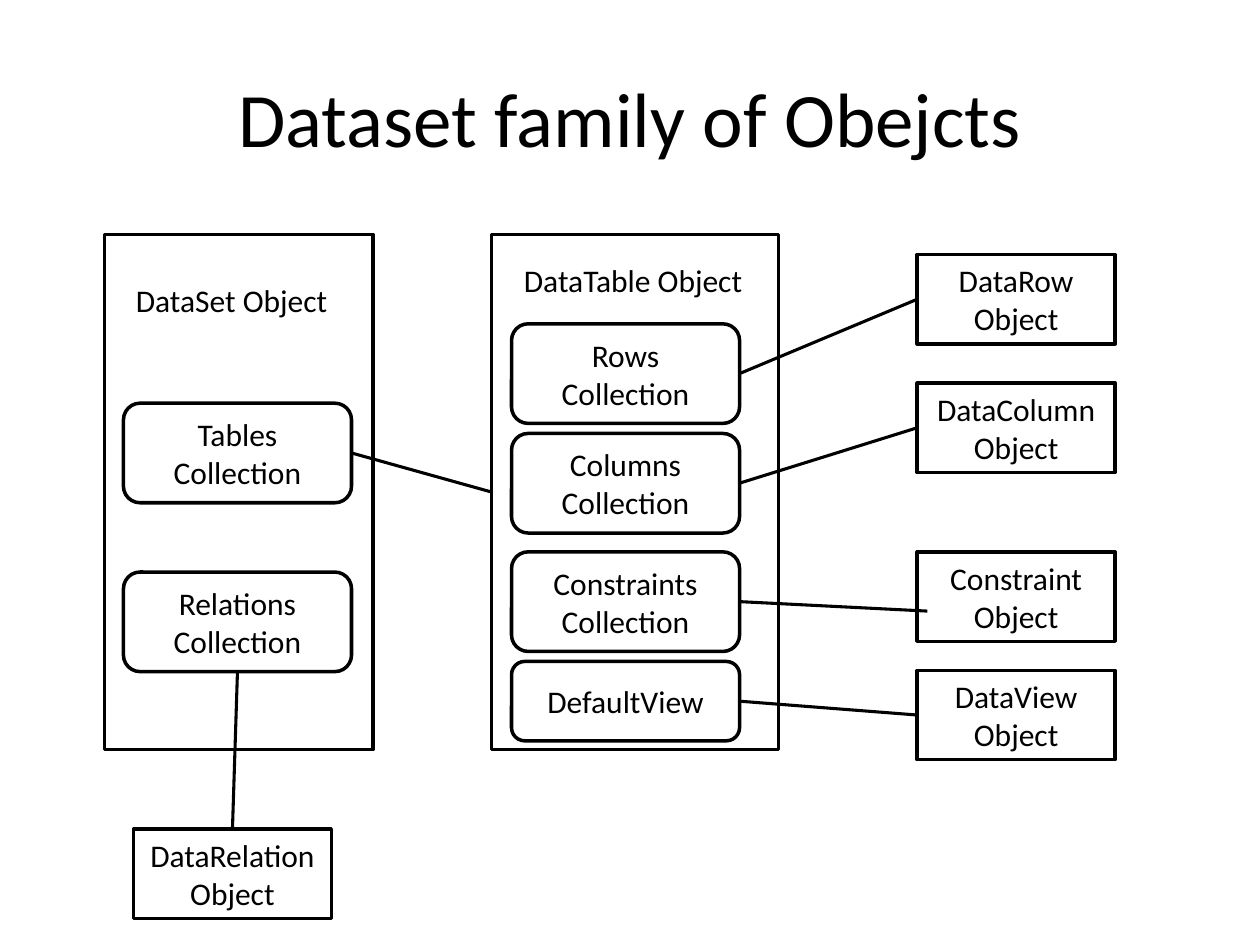
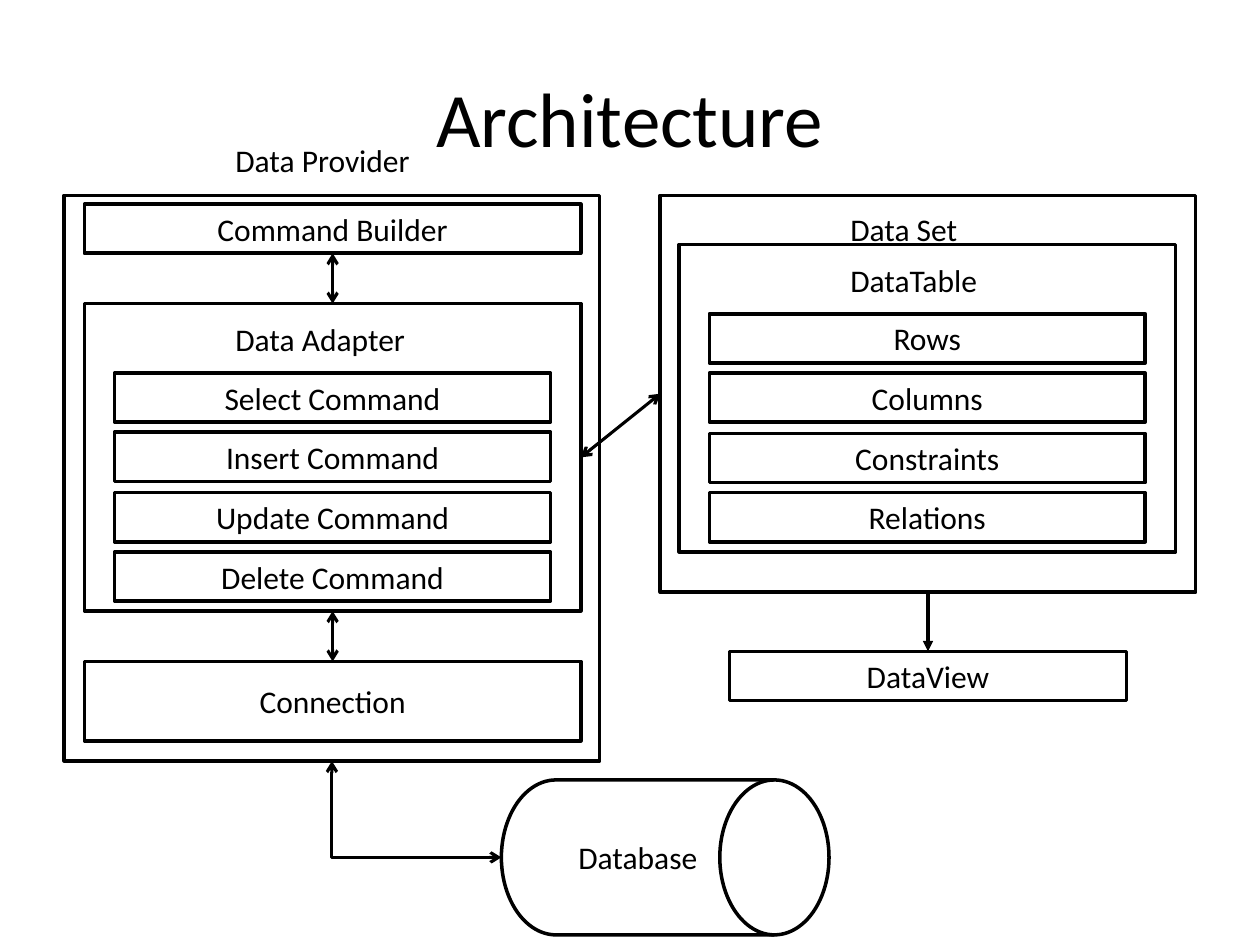
from lxml.etree import SubElement
from pptx import Presentation
from pptx.dml.color import RGBColor
from pptx.enum.shapes import MSO_CONNECTOR, MSO_SHAPE
from pptx.enum.text import MSO_ANCHOR, MSO_AUTO_SIZE, PP_ALIGN
from pptx.oxml.ns import qn
from pptx.util import Emu, Pt

PX = 9144  # EMU in one px, 100 px to the inch
COLORS = {"ink": "000000", "paper": "FFFFFF"}
FONTS = {
    "title": {"name": "Calibri", "size": Pt(44)},
    "body": {"name": "Calibri", "size": Pt(18)},
}
FRAMES = {
    "title": {"vertical_anchor": MSO_ANCHOR.MIDDLE, "word_wrap": True},
    "box": {"vertical_anchor": MSO_ANCHOR.MIDDLE, "word_wrap": True},
    "label": {"word_wrap": True, "auto_size": MSO_AUTO_SIZE.SHAPE_TO_FIT_TEXT},
}
TOP, LEFT, BOTTOM, RIGHT = range(4)


def px(*lengths):
    return [Emu(length * PX) for length in lengths]


def set_values(target, values):
    for name, value in values.items():
        setattr(target, name, value)


class Diagram:
    def __init__(self):
        self.deck = Presentation()
        self.deck.slide_width, self.deck.slide_height = px(1000, 750)
        self.slide = None

    def color(self, name):
        return RGBColor.from_string(COLORS[name])

    def put_text(self, shape, text, frame, font="body", align=PP_ALIGN.CENTER):
        set_values(shape.text_frame, FRAMES[frame])
        paragraph = shape.text_frame.paragraphs[0]
        paragraph.alignment = align
        run = paragraph.add_run()
        run.text = text
        set_values(run.font, FONTS[font])
        run.font.color.rgb = self.color("ink")

    def outline(self, shape, width):
        shape.line.color.rgb = self.color("ink")
        shape.line.width = Pt(width)

    def new_slide(self, title):
        self.slide = self.deck.slides.add_slide(self.deck.slide_layouts[5])
        self.slide.background.fill.solid()
        self.slide.background.fill.fore_color.rgb = self.color("paper")
        heading = self.slide.shapes.title
        set_values(heading, dict(zip(("left", "top", "width", "height"),
                                     px(50, 30, 900, 125))))
        self.put_text(heading, title, "title", "title")

    def box(self, left, top, width, height, text="", kind=MSO_SHAPE.RECTANGLE):
        shape = self.slide.shapes.add_shape(kind, *px(left, top, width, height))
        shape.shadow.inherit = False
        shape.fill.background()
        self.outline(shape, 2)
        if text:
            self.put_text(shape, text, "box")
        return shape

    def stack(self, left, top, texts):
        """Equal command or collection bars, one below the other."""
        for row, text in enumerate(texts):
            self.box(left, top + round(row * 142 / 3), 346, 39, text)

    def label(self, left, top, width, text):
        shape = self.slide.shapes.add_textbox(*px(left, top, width, 40))
        self.put_text(shape, text, "label", align=PP_ALIGN.LEFT)

    def link(self, start, start_side, end=None, end_side=LEFT, point=(0, 0),
             head=None, tail=None, bent=False):
        """Join two shapes, or a shape and a free point."""
        kind = MSO_CONNECTOR.ELBOW if bent else MSO_CONNECTOR.STRAIGHT
        line = self.slide.shapes.add_connector(kind, *px(0, 0, *point))
        line.begin_connect(start, start_side)
        if end is not None:
            line.end_connect(end, end_side)
        self.outline(line, 1.75)
        properties = line._element.spPr
        if bent:
            properties.find(qn("a:prstGeom")).set("prst", "bentConnector2")
        for tag, arrow in (("a:headEnd", head), ("a:tailEnd", tail)):
            if arrow:
                SubElement(properties.find(qn("a:ln")), qn(tag), type=arrow)
        SubElement(properties, qn("a:effectLst"))


def dataset_family(diagram):
    diagram.new_slide("Dataset family of Obejcts")

    def collection(left, top, text, height=79):
        return diagram.box(left, top, 181, height, text, MSO_SHAPE.ROUNDED_RECTANGLE)

    def data_object(left, top, text):
        return diagram.box(left, top, 157, 71, f"{text} Object")

    diagram.box(83, 186, 213, 409)
    diagram.label(98, 218, 181, "DataSet Object")
    tables = collection(98, 320, "Tables Collection")
    relations = collection(98, 454, "Relations Collection")

    data_table = diagram.box(390, 186, 228, 409)
    diagram.label(406, 202, 213, "DataTable Object")
    rows = collection(406, 257, "Rows Collection")
    columns = collection(406, 344, "Columns Collection")
    constraints = collection(406, 438, "Constraints Collection")
    default_view = collection(406, 525, "DefaultView", 63)

    data_row = data_object(728, 202, "DataRow")
    data_column = data_object(728, 304, "DataColumn")
    data_object(728, 438, "Constraint")
    data_view = data_object(728, 532, "DataView")
    data_relation = data_object(106, 658, "DataRelation")

    diagram.link(tables, RIGHT, data_table)
    diagram.link(relations, BOTTOM, data_relation, TOP)
    diagram.link(rows, RIGHT, data_row)
    diagram.link(columns, RIGHT, data_column)
    diagram.link(constraints, RIGHT, point=(736, 485))
    diagram.link(default_view, RIGHT, data_view)


def architecture(diagram):
    diagram.new_slide("Architecture")
    both_ways = {"head": "arrow", "tail": "arrow"}

    provider = diagram.box(51, 155, 425, 449)
    diagram.label(177, 107, 236, "Data Provider")
    builder = diagram.box(67, 162, 394, 39, "Command Builder")
    adapter = diagram.box(67, 241, 394, 244)
    diagram.label(177, 249, 236, "Data Adapter")
    diagram.stack(91, 296, [f"{verb} Command" for verb in
                            ("Select", "Insert", "Update", "Delete")])
    connection = diagram.box(67, 525, 394, 63, "Connection")

    data_set = diagram.box(524, 155, 425, 315)
    diagram.label(665, 162, 236, "Data Set")
    diagram.box(539, 194, 394, 244)
    diagram.label(665, 202, 236, "DataTable")
    diagram.stack(563, 249, ["Rows", "Columns", "Constraints", "Relations"])
    data_view = diagram.box(579, 517, 315, 39, "DataView")
    database = diagram.box(398, 619, 260, 123, "Database",
                           MSO_SHAPE.FLOWCHART_DIRECT_ACCESS_STORAGE)

    diagram.link(builder, BOTTOM, adapter, TOP, **both_ways)
    diagram.link(adapter, BOTTOM, connection, TOP, **both_ways)
    diagram.link(adapter, RIGHT, data_set, LEFT, **both_ways)
    diagram.link(data_set, BOTTOM, data_view, TOP, tail="triangle")
    diagram.link(database, LEFT, provider, BOTTOM, bent=True, **both_ways)


def main():
    diagram = Diagram()
    dataset_family(diagram)
    architecture(diagram)
    diagram.deck.save("out.pptx")


if __name__ == "__main__":
    main()
